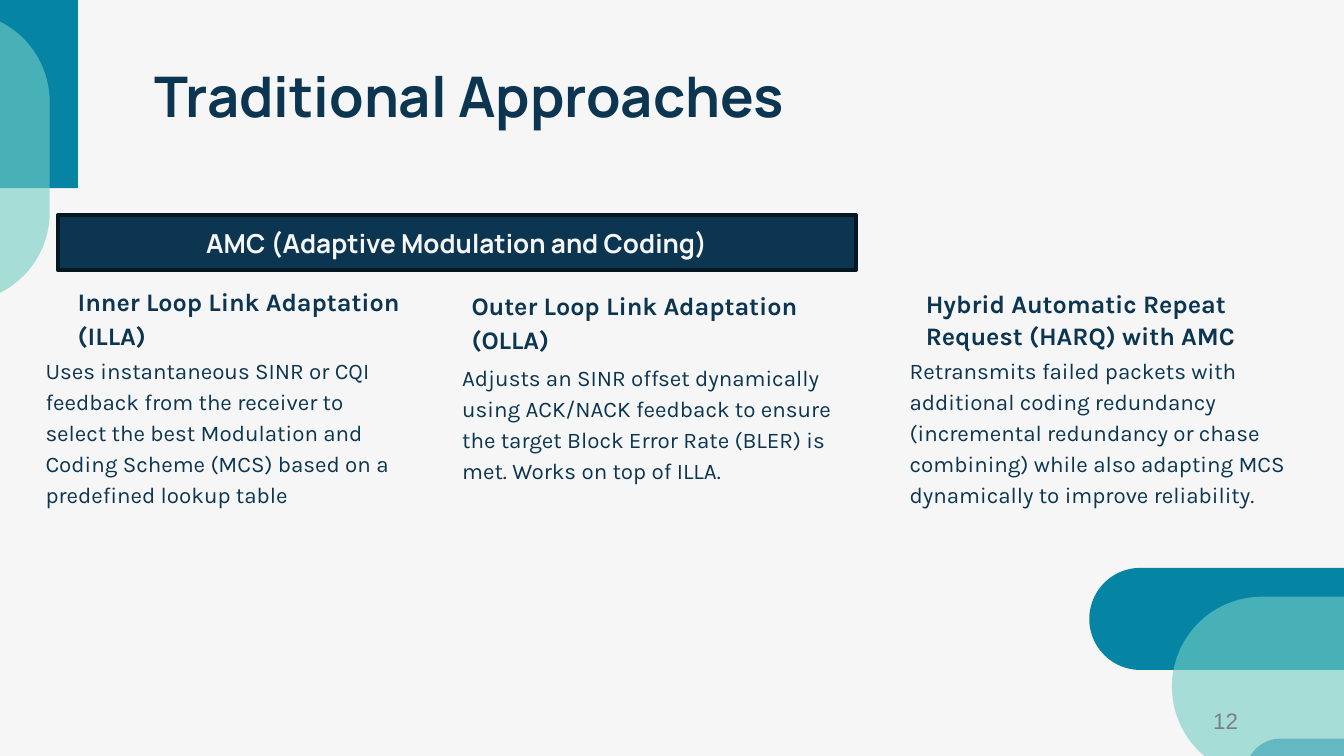
from lxml.etree import SubElement
from pptx import Presentation
from pptx.dml.color import RGBColor
from pptx.enum.shapes import MSO_SHAPE as Preset
from pptx.enum.text import MSO_ANCHOR as Anchor, PP_ALIGN as Align
from pptx.oxml.ns import qn
from pptx.util import Inches, Pt

PAPER = RGBColor(0xF6, 0xF6, 0xF6)
NAVY = RGBColor(0x0B, 0x35, 0x50)
DARK_NAVY = RGBColor(0x05, 0x17, 0x23)
BLUE = RGBColor(0x05, 0x84, 0xA4)
MINT = RGBColor(0x74, 0xCE, 0xC4)
GREY = RGBColor(0x79, 0x7F, 0x88)

COLUMNS = [
    ((0.24, 1.99, 2.85, 2.06), (0.24, 0.72), (0.54, 1.52), 1.15,
     "Inner Loop Link Adaptation (ILLA)",
     "Uses instantaneous SINR or CQI feedback from the receiver to select the best "
     "Modulation and Coding Scheme (MCS) based on a predefined lookup table"),
    ((3.34, 2.02, 3.09, 1.94), (0.07, 0.72), (0.56, 1.38), 1.15,
     "Outer Loop Link Adaptation (OLLA)",
     "Adjusts an SINR offset dynamically using ACK/NACK feedback to ensure the target "
     "Block Error Rate (BLER) is met. Works on top of ILLA."),
    ((6.67, 2.01, 3.09, 2.1), (0.12, 0.7), (0.52, 1.58), 1.05,
     "Hybrid Automatic Repeat Request (HARQ) with AMC",
     "Retransmits failed packets with additional coding redundancy (incremental redundancy "
     "or chase combining) while also adapting MCS dynamically to improve reliability."),
]
HEADING_WIDTH = 2.62


def write_text(shape, text, size, font="Karla", color=NAVY, bold=False, align=Align.LEFT,
               anchor=Anchor.TOP, spacing=1.0, inset=0.1):
    frame = shape.text_frame
    frame.word_wrap = True
    frame.vertical_anchor = anchor
    frame.margin_left = frame.margin_right = Inches(inset)
    frame.margin_top = frame.margin_bottom = Inches(inset)
    para = frame.paragraphs[0]
    para.alignment = align
    para.line_spacing = spacing
    span = para.add_run()
    span.text = text
    span.font.name = font
    span.font.size = Pt(size)
    span.font.bold = bold
    span.font.color.rgb = color


def add_text(page, box, text, size, **style):
    shape = page.shapes.add_textbox(*map(Inches, box))
    write_text(shape, text, size, **style)


def add_shape(page, preset, box, color, opacity=100, rotation=0, adjustments=()):
    shape = page.shapes.add_shape(preset, *map(Inches, box))
    shape.shadow.inherit = False
    shape.rotation = rotation
    for index, value in enumerate(adjustments):
        shape.adjustments[index] = value
    shape.fill.solid()
    shape.fill.fore_color.rgb = color
    shape.line.fill.background()
    if opacity < 100:
        fill_color = shape.fill._xPr.find(qn("a:solidFill"))[0]
        SubElement(fill_color, qn("a:alpha")).set("val", str(opacity * 1000))
    return shape


def add_tab(page, box, **style):
    add_shape(page, Preset.ROUND_2_SAME_RECTANGLE, box, BLUE, adjustments=(0.5, 0), **style)


def add_pill(page, box, **style):
    add_shape(page, Preset.ROUNDED_RECTANGLE, box, MINT, opacity=61, adjustments=(0.5,), **style)


def draw_bottom_corner(page, left, top):
    add_tab(page, (left, top, 0.76, 1.93), rotation=270)
    add_pill(page, (left + 0.44, top + 0.39, 1.34, 2.16), rotation=270)
    add_tab(page, (left + 1.12, top + 1.31, 0.53, 1.62), rotation=270, opacity=41)


def draw_top_corner(page, left, top):
    add_tab(page, (left + 0.79, top, 0.76, 1.93))
    add_pill(page, (left, top + 0.62, 1.34, 2.16))


def draw_column(page, box, heading_place, body_place, heading_spacing, heading, body):
    left, top, width, _ = box
    indent, heading_height = heading_place
    body_offset, body_height = body_place
    add_text(page, (left + indent, top, HEADING_WIDTH, heading_height), heading, 13.5,
             bold=True, anchor=Anchor.BOTTOM, spacing=heading_spacing)
    add_text(page, (left, top + body_offset, width, body_height), body, 12, spacing=1.15)


def draw_banner(page, box, text):
    banner = add_shape(page, Preset.RECTANGLE, box, NAVY)
    banner.line.color.rgb = DARK_NAVY
    banner.line.width = Pt(2)
    write_text(banner, text, 14, font="Manrope", color=PAPER, bold=True,
               align=Align.CENTER, anchor=Anchor.MIDDLE, inset=0.05)


def main():
    deck = Presentation()
    deck.slide_width = Inches(10)
    deck.slide_height = deck.slide_width * 9 // 16
    page = deck.slides.add_slide(deck.slide_layouts[6])
    page.background.fill.solid()
    page.background.fill.fore_color.rgb = PAPER

    draw_bottom_corner(page, 8.69, 3.64)
    add_text(page, (1.05, 0.36, 8.4, 0.5), "Traditional Approaches", 30,
             font="Manrope", bold=True)
    for column in COLUMNS:
        draw_column(page, *column)
    add_text(page, (7.06, 5.21, 2.25, 0.3), "12", 12, font="Arial", color=GREY,
             align=Align.RIGHT, anchor=Anchor.MIDDLE)
    draw_top_corner(page, -0.97, -0.53)
    draw_banner(page, (0.43, 1.6, 5.94, 0.41), "AMC (Adaptive Modulation and Coding)")
    deck.save("out.pptx")


if __name__ == "__main__":
    main()
